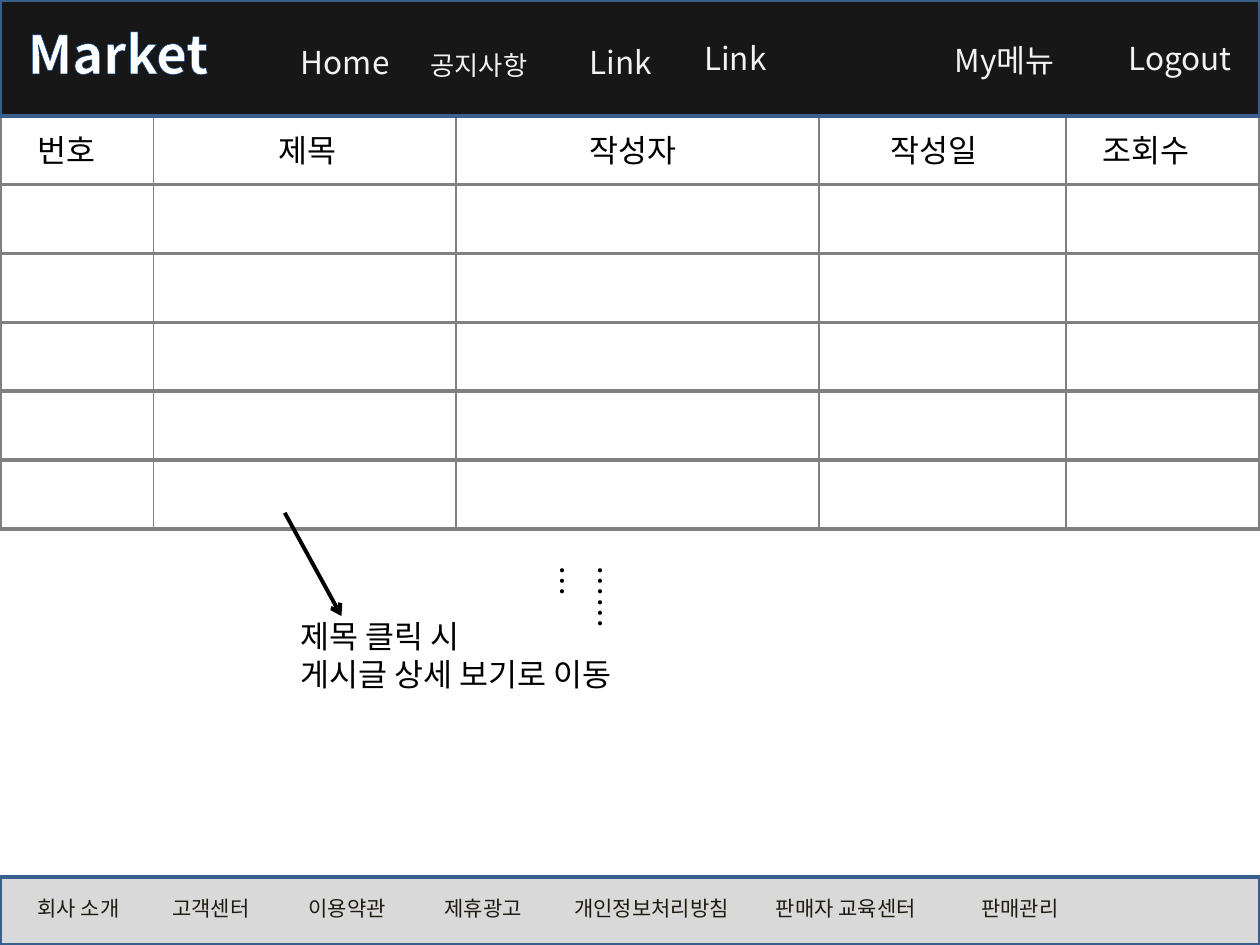
from dataclasses import dataclass

from lxml import etree
from pptx import Presentation
from pptx.dml.color import RGBColor
from pptx.enum.shapes import MSO_CONNECTOR, MSO_SHAPE
from pptx.enum.text import MSO_AUTO_SIZE
from pptx.oxml.ns import qn
from pptx.util import Inches, Pt

RECT = MSO_SHAPE.RECTANGLE
STRAIGHT = MSO_CONNECTOR.STRAIGHT
GROW = MSO_AUTO_SIZE.SHAPE_TO_FIT_TEXT


@dataclass(frozen=True)
class Theme:
    font: str = "Noto Sans CJK KR"
    body: int = 18
    notice: int = 15
    footer: int = 12
    brand: int = 30
    black: str = "000000"
    white: str = "FFFFFF"
    grid: str = "808080"
    bar: str = "171717"
    bar_line: str = "3A5F8C"
    menu: str = "F2F2F2"
    brand_outline: str = "054697"
    footer_fill: str = "D9D9D9"
    footer_text: str = "1E1C11"


THEME = Theme()


def add_box(parent, top, height, fill, line):
    """Add a full-width outlined band."""
    box = parent.add_shape(RECT, Inches(0), Inches(top), Inches(10), Inches(height))
    box.shadow.inherit = False
    box.fill.solid()
    box.fill.fore_color.rgb = RGBColor.from_string(fill)
    box.line.color.rgb = RGBColor.from_string(line)
    box.line.width = Pt(2)


def add_text(parent, text, left, top, width, height, size=THEME.body, color=THEME.black):
    """Add a wrapping text box, one paragraph per line of text."""
    box = parent.add_textbox(Inches(left), Inches(top), Inches(width), Inches(height))
    frame = box.text_frame
    frame.word_wrap = True
    frame.auto_size = GROW
    frame.text = text
    for paragraph in frame.paragraphs:
        for run in paragraph.runs:
            run.font.size = Pt(size)
            run.font.color.rgb = RGBColor.from_string(color)
            run.font.name = THEME.font
            etree.SubElement(run.font._element, qn("a:ea"), typeface=THEME.font)
    return frame


prs = Presentation()
prs.slide_width, prs.slide_height = Inches(10), Inches(7.5)
slide = prs.slides.add_slide(prs.slide_layouts[6])
shapes = slide.shapes

# Board rows
table_top, last_row_top, row_height = 0.92, 3.65, 0.55
row_pitch = (last_row_top - table_top) / 5
for row in range(6):
    add_box(shapes, table_top + row * row_pitch, row_height, THEME.white, THEME.grid)

more_rows = add_text(shapes, "………", 4.47, 4.39, 0.5, 0.71)
more_rows._txBody.bodyPr.set("vert", "eaVert")

# Column dividers and the arrow to the note
dividers = [(x, table_top, x, 4.21, THEME.grid, 0.75) for x in (1.22, 3.62, 6.5, 8.46)]
note_arrow = (2.26, 4.07, 2.71, 4.89, THEME.black, 2.25)
for x1, y1, x2, y2, color, weight in dividers + [note_arrow]:
    connector = shapes.add_connector(STRAIGHT, Inches(x1), Inches(y1), Inches(x2), Inches(y2))
    connector.line.color.rgb = RGBColor.from_string(color)
    connector.line.width = Pt(weight)
    etree.SubElement(connector._element.spPr, qn("a:effectLst"))
etree.SubElement(connector.line._get_or_add_ln(), qn("a:tailEnd"), type="arrow")

for heading, left, width in (
    ("번호", 0.2, 1.14),
    ("제목", 2.11, 1.68),
    ("작성자", 4.58, 1.68),
    ("작성일", 6.97, 1.68),
    ("조회수", 8.65, 1.23),
):
    add_text(shapes, heading, left, 0.99, width, 0.4)

add_text(shapes, "제목 클릭 시\n게시글 상세 보기로 이동", 2.29, 4.85, 3.02, 0.71)

# Navigation bar
header = shapes.add_group_shape().shapes
add_box(header, 0, table_top, THEME.bar, THEME.bar_line)
for label, left, top, width, height, size in (
    ("Logout", 8.86, 0.26, 1.02, 0.4, THEME.body),
    ("My메뉴", 7.48, 0.28, 1.34, 0.4, THEME.body),
    ("Home", 2.29, 0.29, 1.02, 0.4, THEME.body),
    ("공지사항", 3.32, 0.34, 1.18, 0.35, THEME.notice),
    ("Link", 4.58, 0.29, 1.02, 0.4, THEME.body),
    ("Link", 5.49, 0.26, 1.02, 0.4, THEME.body),
):
    add_text(header, label, left, top, width, height, size, THEME.menu)

brand = add_text(header, "Market", 0.12, 0.12, 2.28, 0.61, THEME.brand, THEME.white)
brand_font = brand.paragraphs[0].runs[0].font
brand_font.bold = True
outline = etree.Element(qn("a:ln"), w=str(Pt(1)))
outline_fill = etree.SubElement(outline, qn("a:solidFill"))
etree.SubElement(outline_fill, qn("a:srgbClr"), val=THEME.brand_outline)
brand_font._element.insert(0, outline)

# Footer: one line of links set out with tab stops
footer = shapes.add_group_shape().shapes
add_box(footer, 6.96, 0.54, THEME.footer_fill, THEME.bar_line)
footer_links = ("회사 소개", "고객센터", "이용약관", "제휴광고",
                "개인정보처리방침", "판매자 교육센터", "판매관리")
links = add_text(footer, "\t".join(footer_links), 0.2, 7.06, 9.53, 0.23,
                 THEME.footer, THEME.footer_text)
tab_list = etree.SubElement(links.paragraphs[0]._p.get_or_add_pPr(), qn("a:tabLst"))
for stop in (1.07, 2.15, 3.23, 4.26, 5.86, 7.49):
    etree.SubElement(tab_list, qn("a:tab"), pos=str(Inches(stop)), algn="l")

prs.save("out.pptx")
